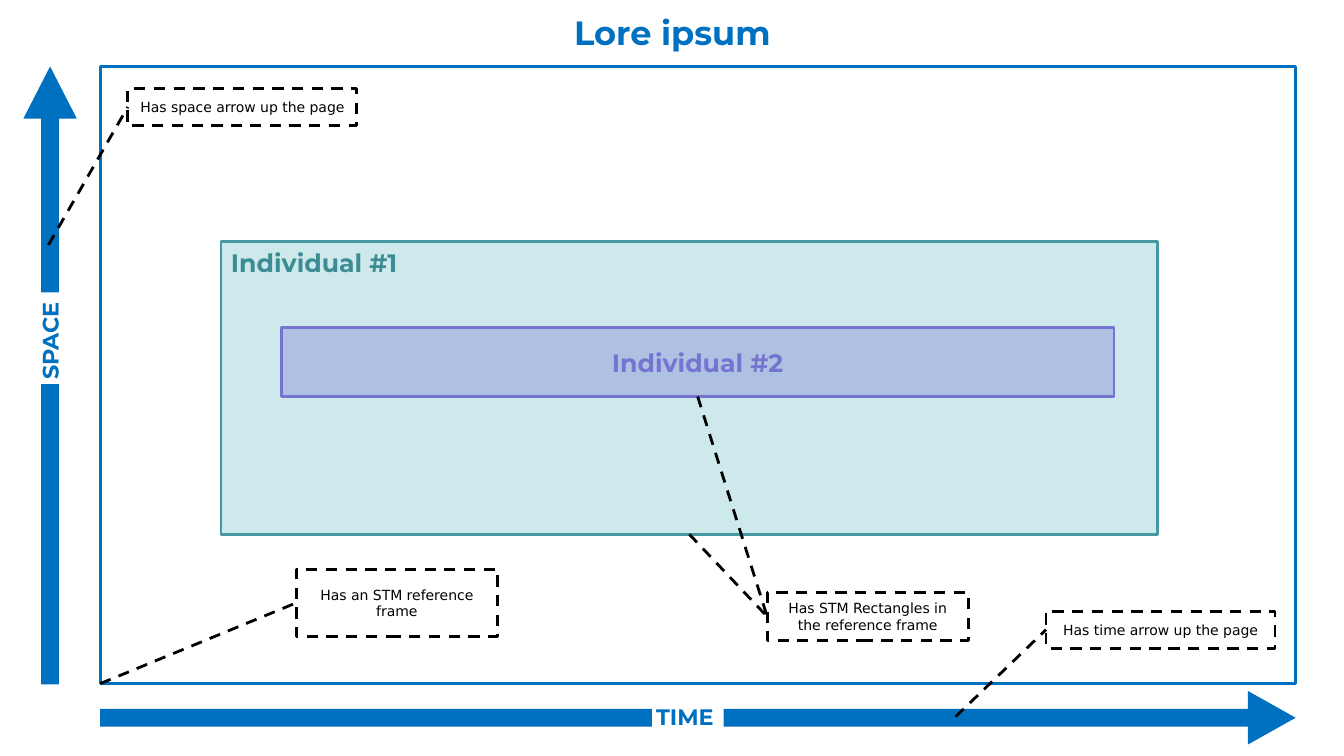
from lxml import etree
from pptx import Presentation
from pptx.dml.color import RGBColor
from pptx.enum.dml import MSO_LINE
from pptx.enum.shapes import MSO_CONNECTOR, MSO_SHAPE as SHAPE
from pptx.enum.text import MSO_ANCHOR as ANCHOR, PP_ALIGN as ALIGN
from pptx.oxml.ns import qn
from pptx.util import Pt

BLUE, BLACK, WHITE = "0070C0", "000000", "FFFFFF"

prs = Presentation()
prs.slide_width, prs.slide_height = Pt(960), Pt(540)
shapes = prs.slides.add_slide(prs.slide_layouts[6]).shapes
rgb = RGBColor.from_string


def block(kind, box, fill=None, line=None, alpha=None):
    shape = shapes.add_shape(kind, *map(Pt, box))
    shape.shadow.inherit = False
    if fill:
        shape.fill.solid()
        shape.fill.fore_color.rgb = rgb(fill)
        if alpha:
            color = shape.fill._xPr.find(qn("a:solidFill"))[0]
            etree.SubElement(color, qn("a:alpha"), val=str(alpha * 1000))
    else:
        shape.fill.background()
    if line:
        shape.line.color.rgb = rgb(line)
        shape.line.width = Pt(2)
    else:
        shape.line.fill.background()
    return shape


def write(shape, text, size, color, font="Montserrat", bold=True,
          align=ALIGN.LEFT, anchor=ANCHOR.TOP, wrap=True, tight=False):
    frame = shape.text_frame
    frame.word_wrap = wrap
    frame.vertical_anchor = anchor
    if tight:
        frame.margin_left = frame.margin_right = Pt(2.88)
        frame.margin_top = frame.margin_bottom = 0
    paragraph = frame.paragraphs[0]
    paragraph.alignment = align
    run = paragraph.add_run()
    run.text = text
    run.font.name, run.font.size, run.font.bold = font, Pt(size), bold
    run.font.color.rgb = rgb(color)


# Outer individual
individual_1 = block(SHAPE.RECTANGLE, (157.9, 172.8, 668.9, 208.8), "72BFC5", "4597A0", 34)
write(individual_1, "Individual #1", 18, "3C8C93")

# Space and time axes with their labels
axes = [
    (SHAPE.UP_ARROW, (16.7, 47.5, 38.2, 441.4), 0.976,
     "SPACE", (2.9, 231.8, 65.5, 19.4), 270),
    (SHAPE.RIGHT_ARROW, (71.6, 493.6, 853.9, 38.2), 0.891,
     "TIME", (465.8, 502.6, 51.1, 19.4), 0),
]
for kind, box, head, label, label_box, rotation in axes:
    axis = block(kind, box, BLUE)
    axis.adjustments[0], axis.adjustments[1] = 0.33, head
    axis_label = block(SHAPE.RECTANGLE, label_box, WHITE)
    axis_label.rotation = rotation
    write(axis_label, label, 16, BLUE, wrap=False, tight=True)

# Title
title = shapes.add_textbox(Pt(403.9), Pt(8.6), Pt(152.6), Pt(28.8))
write(title, "Lore ipsum", 24, BLUE, align=ALIGN.CENTER, wrap=False, tight=True)

# Reference frame and inner individual
block(SHAPE.RECTANGLE, (71.6, 47.5, 853.9, 440.8), line=BLUE)
individual_2 = block(SHAPE.RECTANGLE, (200.9, 234, 594.9, 49.2), "7575D1", "7575D1", 34)
write(individual_2, "Individual #2", 18, "7575D1", align=ALIGN.CENTER, anchor=ANCHOR.MIDDLE)

# Callouts, each with the points or individuals it leads to
callouts = [
    ("Has space arrow up the page", (91.3, 63.2, 163.6, 26.4), [(34.6, 175)]),
    ("Has an STM reference frame", (211.7, 406.6, 143.6, 48), [(71.6, 488.3)]),
    ("Has STM Rectangles in the reference frame", (548, 423.2, 143.6, 34.4),
     [individual_1, individual_2]),
    ("Has time arrow up the page", (747.2, 436.6, 163.6, 26.4), [(682.6, 511.9)]),
]
for text, box, targets in callouts:
    callout = block(SHAPE.RECTANGLE, box, line=BLACK)
    callout.line.dash_style = MSO_LINE.DASH
    write(callout, text, 10, BLACK, font="DejaVu Sans", bold=False,
          align=ALIGN.CENTER, anchor=ANCHOR.MIDDLE)
    for target in targets:
        is_point = isinstance(target, tuple)
        x, y = map(Pt, target) if is_point else (target.left, target.top)
        leader = shapes.add_connector(MSO_CONNECTOR.STRAIGHT, x, y, callout.left, callout.top)
        if not is_point:
            leader.begin_connect(target, 2)
        leader.end_connect(callout, 1)
        leader.line.color.rgb = rgb(BLACK)
        leader.line.width = Pt(2)
        leader.line.dash_style = MSO_LINE.DASH
        etree.SubElement(leader._element.spPr, qn("a:effectLst"))

prs.save("out.pptx")
